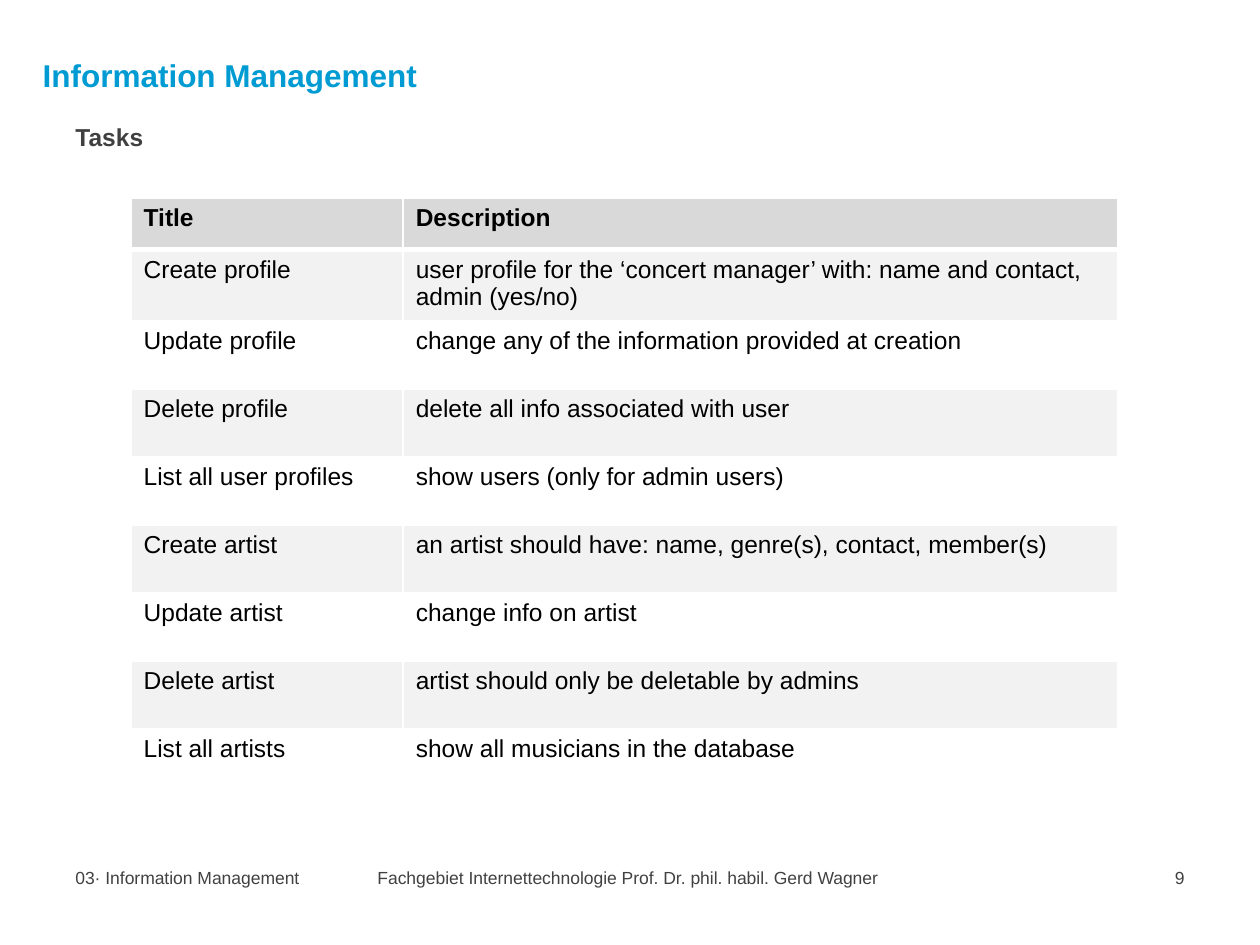
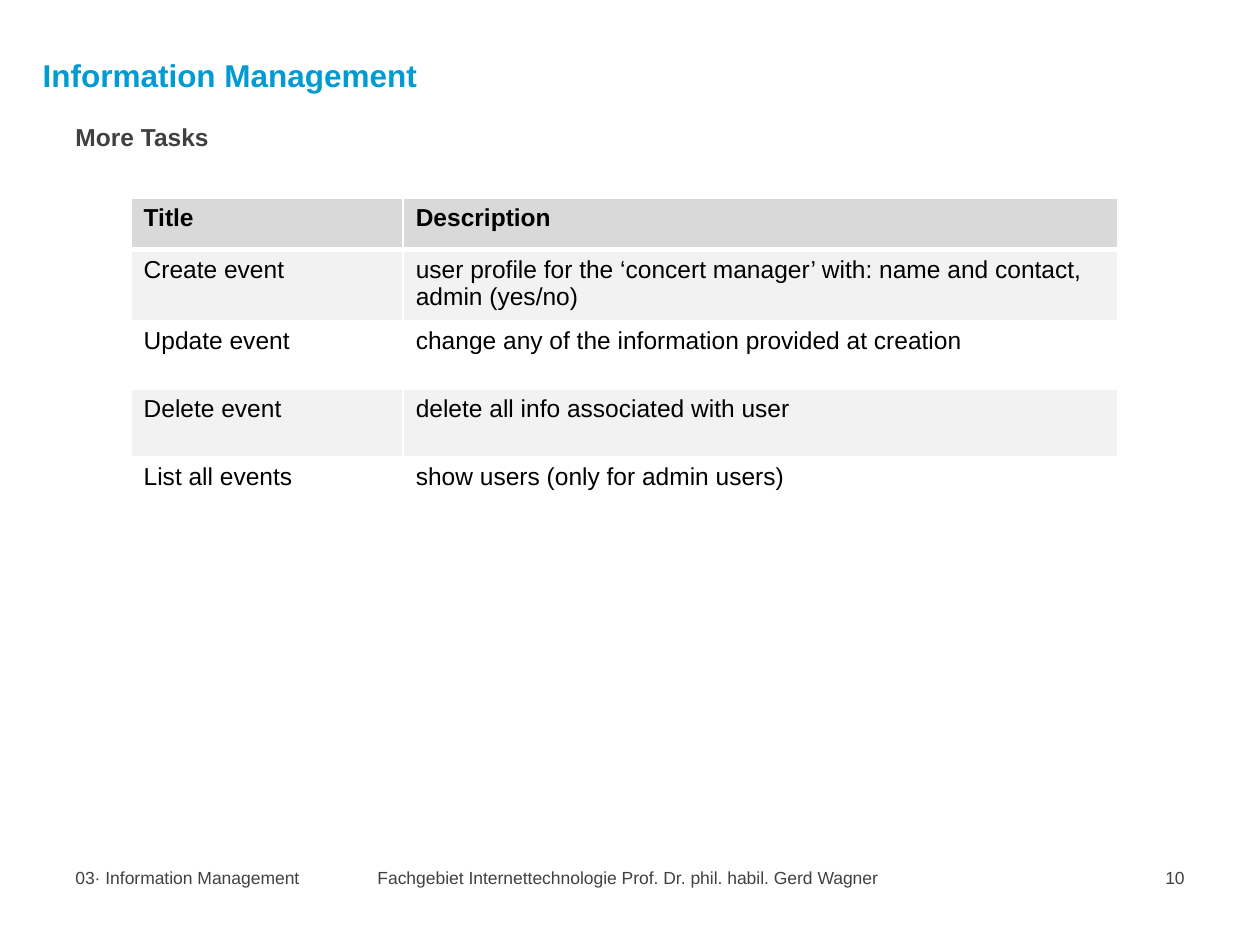
from lxml import etree
from pptx import Presentation, util as u
from pptx.dml.color import RGBColor
from pptx.enum import text
from pptx.oxml import ns

TITLE = "Information Management"
CHAPTER = "03· Information Management"
DEPARTMENT = "Fachgebiet Internettechnologie Prof. Dr. phil. habil. Gerd Wagner "
FIRST_PAGE = 9
HEADER = ("Title", "Description")
SLIDES = [
    ("Tasks", [
        ("Create profile", "user profile for the ‘concert manager’ with: name and contact, admin (yes/no)"),
        ("Update profile", "change any of the information provided at creation"),
        ("Delete profile", "delete all info associated with user"),
        ("List all user profiles", "show users (only for admin users)"),
        ("Create artist", "an artist should have: name, genre(s), contact, member(s)"),
        ("Update artist", "change info on artist"),
        ("Delete artist", "artist should only be deletable by admins"),
        ("List all artists", "show all musicians in the database"),
    ]),
    ("More Tasks", [
        ("Create event", "user profile for the ‘concert manager’ with: name and contact, admin (yes/no)"),
        ("Update event", "change any of the information provided at creation"),
        ("Delete event", "delete all info associated with user"),
        ("List all events", "show users (only for admin users)"),
    ]),
]

FONT = "Arial"
BLUE = RGBColor(0x00, 0x9B, 0xD2)
HEADING_GREY = RGBColor(0x40, 0x40, 0x40)
FOOTER_GREY = RGBColor(0x41, 0x41, 0x41)
BLACK = RGBColor(0x00, 0x00, 0x00)
WHITE = RGBColor(0xFF, 0xFF, 0xFF)
HEADER_FILL = RGBColor(0xD9, 0xD9, 0xD9)
BAND_FILLS = (RGBColor(0xF2, 0xF2, 0xF2), WHITE)

WIDTH, HEIGHT = 10, 7.5
MARGIN = 0.5
FOOTER_TOP, FOOTER_HEIGHT = 6.83, 0.5
TABLE_LEFT, TABLE_TOP = 1.04, 1.57
COLUMNS = (2.16, 5.67)
HEADER_HEIGHT, ROW_HEIGHT = 0.41, 0.54

LEFT, CENTER, RIGHT = text.PP_ALIGN.LEFT, text.PP_ALIGN.CENTER, text.PP_ALIGN.RIGHT


def write(tf, content, size=14, color=BLACK, bold=False, align=LEFT, line=None):
    tf.word_wrap = True
    p = tf.paragraphs[0]
    p.alignment = align
    if line:
        p.line_spacing = u.Pt(line)
    r = p.add_run()
    r.text = content
    r.font.name, r.font.size, r.font.bold = FONT, u.Pt(size), bold
    r.font.color.rgb = color


def add_text(s, box, content, **fmt):
    write(s.shapes.add_textbox(*map(u.Inches, box)).text_frame, content, **fmt)


def set_borders(cell, bottom):
    """Draw white cell borders of 1 pt, with the bottom one as wide as given."""
    pr = cell._tc.get_or_add_tcPr()
    for i, (side, width) in enumerate(zip("LRTB", (1, 1, 1, bottom))):
        ln = etree.Element(ns.qn("a:ln" + side), w=str(u.Pt(width)))
        fill = etree.SubElement(ln, ns.qn("a:solidFill"))
        etree.SubElement(fill, ns.qn("a:srgbClr"), val=str(WHITE))
        pr.insert(i, ln)


def add_task_table(s, tasks):
    rows = [HEADER, *tasks]
    height = HEADER_HEIGHT + ROW_HEIGHT * len(tasks)
    box = (TABLE_LEFT, TABLE_TOP, sum(COLUMNS), height)
    table = s.shapes.add_table(len(rows), len(COLUMNS), *map(u.Inches, box)).table
    for column, width in zip(table.columns, COLUMNS):
        column.width = u.Inches(width)
    for i, row in enumerate(rows):
        header = i == 0
        table.rows[i].height = u.Inches(HEADER_HEIGHT if header else ROW_HEIGHT)
        for j, content in enumerate(row):
            cell = table.cell(i, j)
            cell.fill.solid()
            cell.fill.fore_color.rgb = HEADER_FILL if header else BAND_FILLS[(i - 1) % 2]
            # The row below the header shares the header's thick rule.
            set_borders(cell, bottom=3 if header else 1)
            if i == 1:
                cell._tc.tcPr.find(ns.qn("a:lnT")).set("w", str(u.Pt(3)))
            write(cell.text_frame, content, bold=header)


def add_frame(s, page):
    """Add the title and footer that all slides share."""
    footers = [
        (WIDTH - MARGIN - 2.08, 2.08, str(page), RIGHT),
        (MARGIN, 2.14, CHAPTER, LEFT),
        (0, WIDTH, DEPARTMENT, CENTER),
    ]
    for left, width, content, align in footers:
        add_text(s, (left, FOOTER_TOP, width, FOOTER_HEIGHT), content,
                 size=10, color=FOOTER_GREY, align=align)
    add_text(s, (0.24, 0.39, 6.91, 0.79), TITLE, size=18, color=BLUE, bold=True, line=22)


def main():
    prs = Presentation()
    prs.slide_width, prs.slide_height = u.Inches(WIDTH), u.Inches(HEIGHT)
    for page, (heading, tasks) in enumerate(SLIDES, FIRST_PAGE):
        s = prs.slides.add_slide(prs.slide_layouts[6])
        add_frame(s, page)
        add_text(s, (MARGIN, 0.92, 8.91, 4.93), heading, color=HEADING_GREY, bold=True)
        add_task_table(s, tasks)
    prs.save("out.pptx")


if __name__ == "__main__":
    main()
